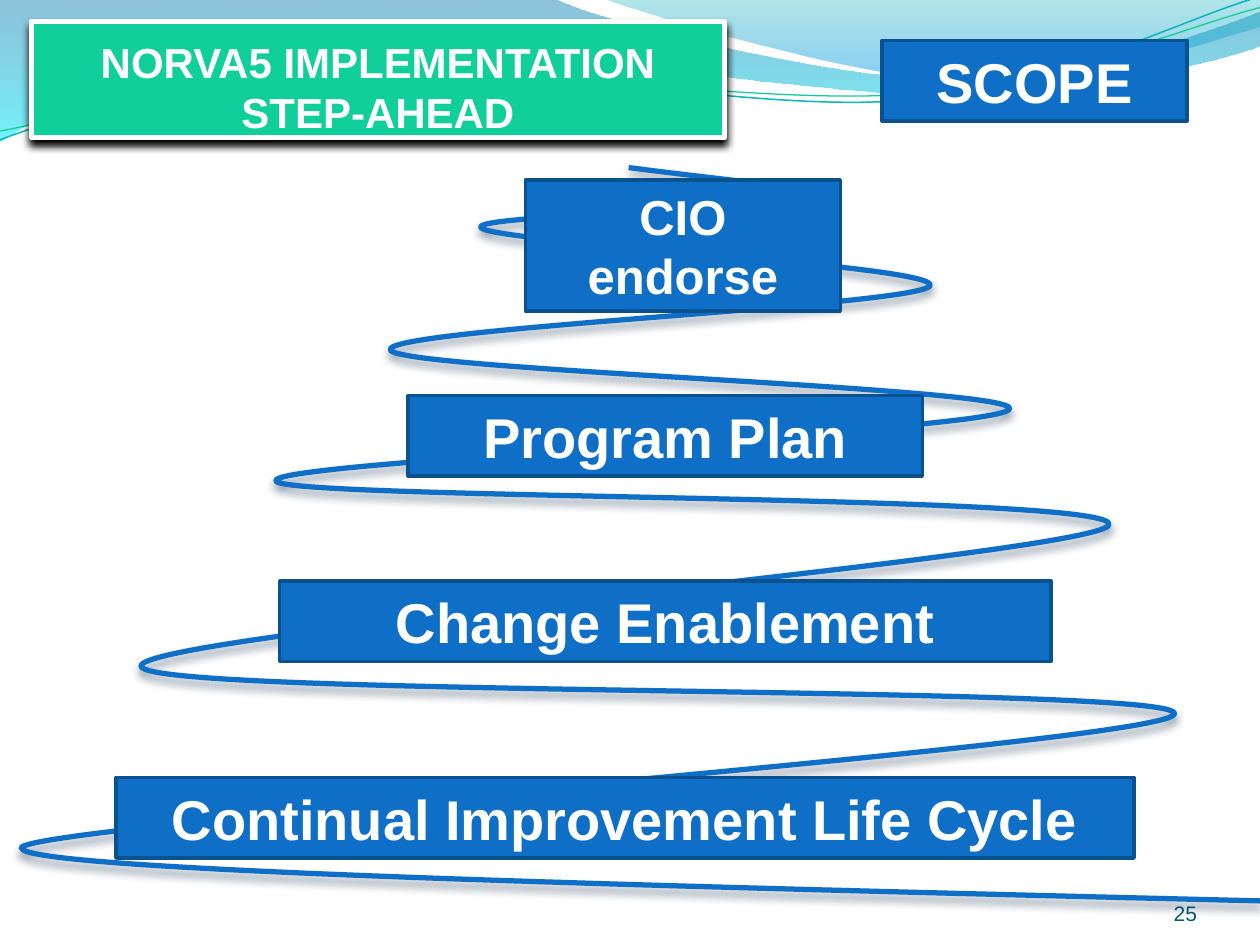
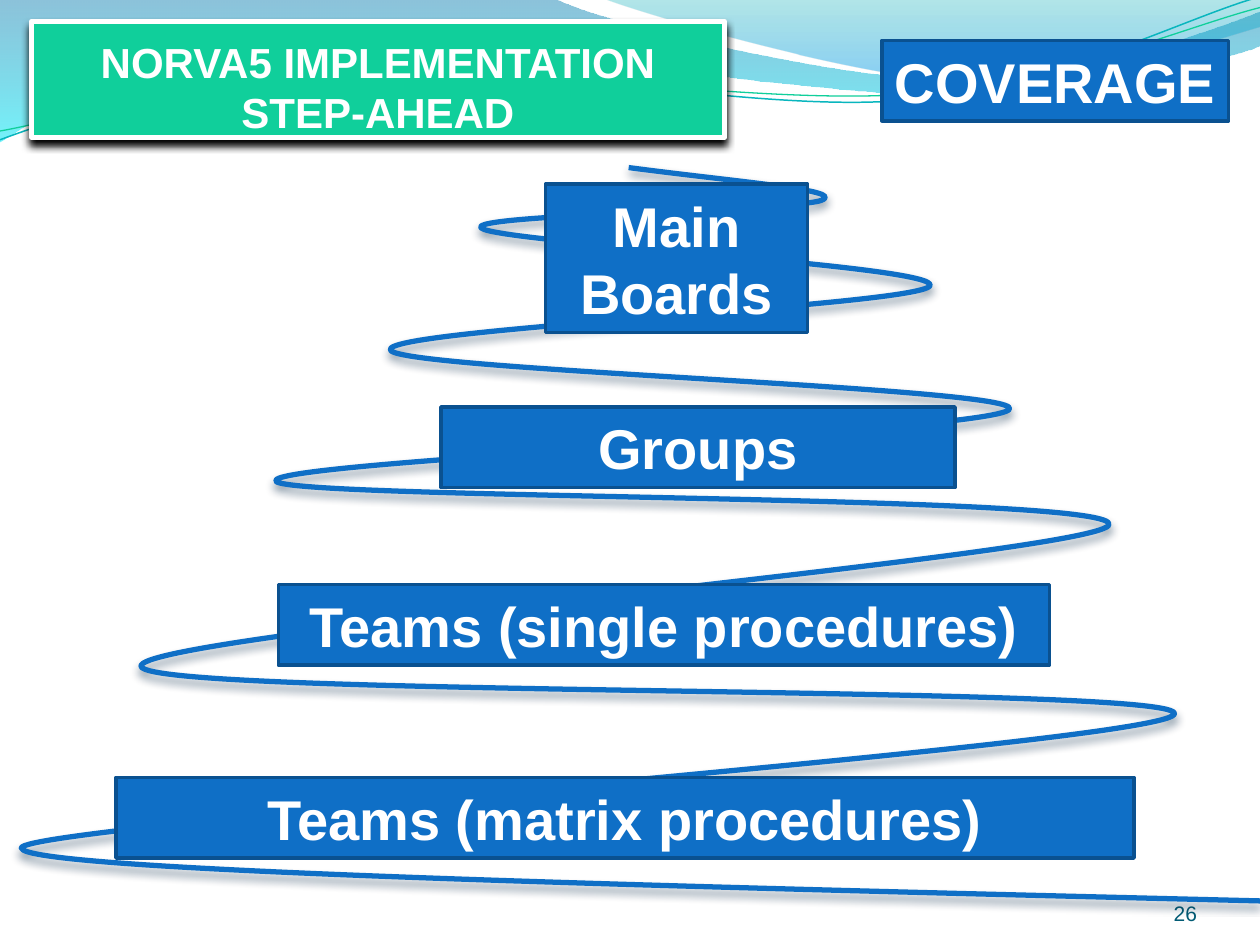
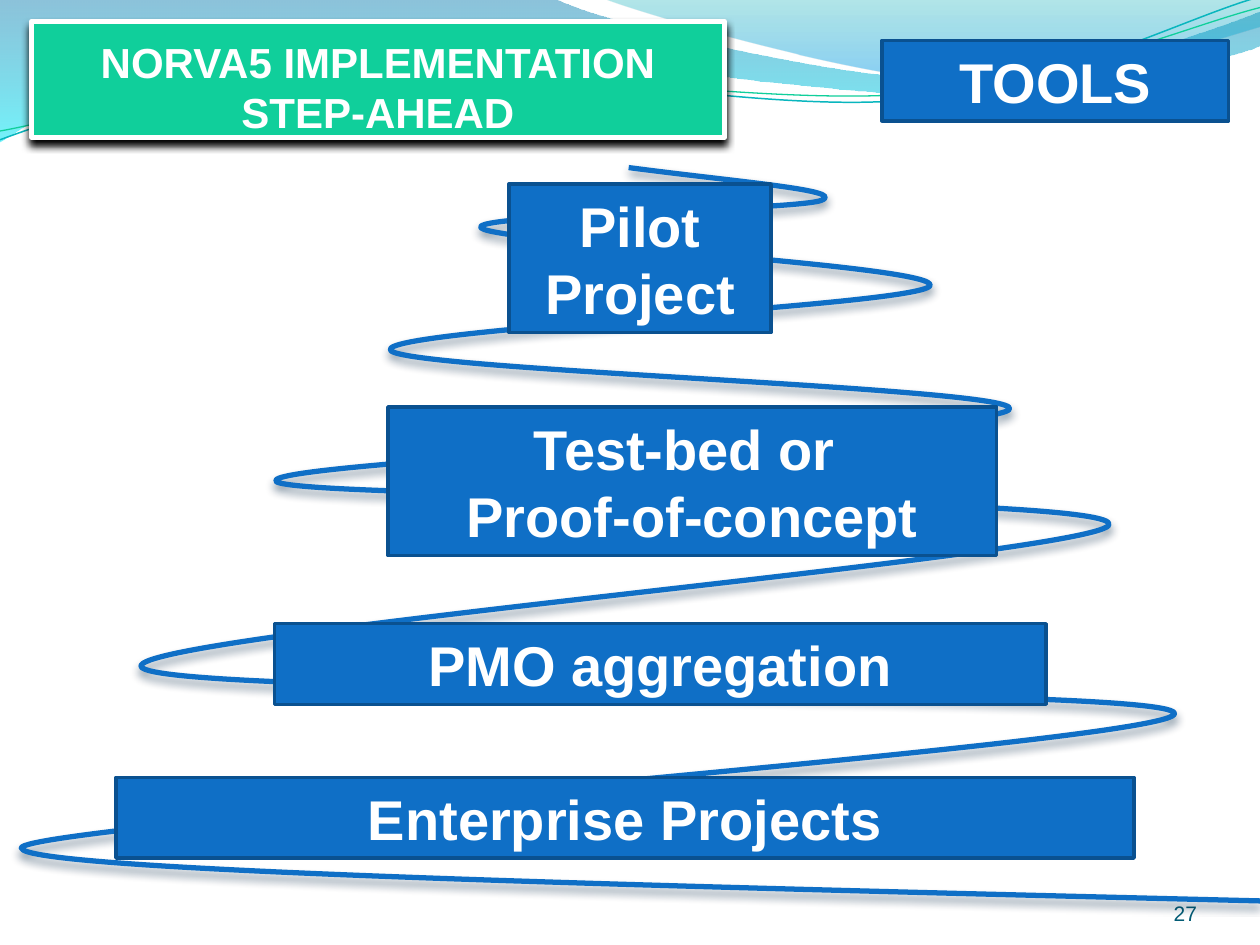
import pptx
import pptx.dml.color
import pptx.enum.shapes
import pptx.enum.text
import pptx.oxml
import pptx.oxml.ns
import pptx.util
from lxml import etree

Inches = pptx.util.Inches
Pt = pptx.util.Pt
qn = pptx.oxml.ns.qn
ALIGN = pptx.enum.text.PP_ALIGN
ANCHOR = pptx.enum.text.MSO_ANCHOR
AUTO_SIZE = pptx.enum.text.MSO_AUTO_SIZE
RECTANGLE = pptx.enum.shapes.MSO_SHAPE.RECTANGLE

COLORS = {
    "white": "FFFFFF", "black": "000000", "green": "10CF9B", "teal": "09B6BE",
    "blue": "0F6FC6", "edge": "0A5190", "shade": "032543", "number": "035C75",
    "wave_top": "0079AD", "wave_end": "00E9F7", "crest_top": "00ABB4", "crest_end": "0099E4",
}
FONT = "Arial"
PAGE_BOX = (0, 0, 10, 7.5)
TITLE_BOX = (0.25, 0.17, 5.5, 0.92)
NUMBER_BOX = (8.67, 6.95, 0.83, 0.4)
TITLE = "NORVA5 IMPLEMENTATION\vSTEP-AHEAD"
FIRST_NUMBER = 25

# An outline is a start point followed by segments: one point is a straight
# line, three points are a curve with two handles and an end.
WAVE = [
    (0, -0.01), [(4.4, -0.01)],
    [(4.76, 0.17), (6.64, 0.63), (7.58, 0.63)], [(8.53, 0.63), (9.58, 0.26), (10, 0.09)],
    [(10.01, 0.36)],
    [(9.83, 0.44), (8.7, 0.76), (7.46, 0.75)], [(6.22, 0.75), (3.82, 0.28), (2.57, 0.34)],
    [(1.29, 0.35), (0.46, 0.83), (-0.01, 1.13)], [(0, -0.01)],
]
CREST = [
    (4.79, -0.01),
    [(5.09, 0.11), (6.82, 0.62), (7.69, 0.65)], [(8.56, 0.69), (9.61, 0.32), (10, 0.21)],
    [(10, 0)], [(4.79, -0.01)],
]
TEAL_THREAD = [
    (0, 1.11), [(0.48, 0.93), (1.58, 0.57), (2.77, 0.52)],
    [(3.95, 0.47), (5.93, 0.89), (7.13, 0.8)], [(8.33, 0.71), (9.38, 0.15), (9.98, -0.02)],
]
GREEN_THREAD = [
    (0, 1.04), [(0.47, 0.96), (1.64, 0.61), (2.83, 0.56)],
    [(4.03, 0.51), (5.97, 0.83), (7.17, 0.75)], [(8.36, 0.67), (9.41, 0.21), (10, 0.06)],
]
SPIRAL = [
    (4.99, 1.33), [(5.9, 1.45), (6.72, 1.51), (6.52, 1.59)],
    [(6.33, 1.67), (3.68, 1.7), (3.82, 1.81)], [(3.97, 1.93), (7.5, 2.11), (7.38, 2.27)],
    [(7.26, 2.43), (2.99, 2.61), (3.1, 2.78)], [(3.2, 2.94), (8.17, 3.08), (8.01, 3.25)],
    [(7.86, 3.43), (2.06, 3.66), (2.19, 3.82)], [(2.32, 3.97), (8.98, 3.92), (8.8, 4.17)],
    [(8.62, 4.41), (1.04, 5.04), (1.12, 5.29)], [(1.21, 5.54), (9.48, 5.43), (9.32, 5.67)],
    [(9.17, 5.91), (0.16, 6.55), (0.17, 6.73)], [(0.18, 6.91), (5.09, 7.03), (10, 7.15)],
]
WAVE_STOPS = [(0, "wave_top", 45), (100, "wave_end", 55)]
CREST_STOPS = [(0, "crest_top", 30), (80, "crest_end", 45), (100, "crest_end", 45)]

# Each slide: its topic with the label width, then bars as (text, size, box).
BASE_BOX = (0.92, 6.17, 8.08, 0.64)
SLIDES = [
    ("SCOPE", 2.42, [
        ("Continual Improvement Life Cycle", 32, BASE_BOX),
        ("Program Plan", 32, (3.24, 3.14, 4.08, 0.64)),
        ("CIO\nendorse", 28, (4.17, 1.43, 2.5, 1.04)),
        ("Change Enablement", 32, (2.22, 4.61, 6.12, 0.64)),
    ]),
    ("COVERAGE", 2.75, [
        ("Teams (matrix procedures)", 32, BASE_BOX),
        ("Groups", 32, (3.5, 3.23, 4.08, 0.64)),
        ("Main Boards", 32, (4.33, 1.46, 2.08, 1.18)),
        ("Teams (single procedures)", 32, (2.21, 4.64, 6.12, 0.64)),
    ]),
    ("TOOLS", 2.75, [
        ("Enterprise Projects", 32, BASE_BOX),
        ("Test-bed or \nProof-of-concept", 32, (3.08, 3.23, 4.83, 1.18)),
        ("Pilot Project", 32, (4.04, 1.46, 2.08, 1.18)),
        ("PMO aggregation", 32, (2.18, 4.95, 6.12, 0.64)),
    ]),
]


def rgb(name):
    return pptx.dml.color.RGBColor.from_string(COLORS[name])


def set_values(target, values):
    for name, value in values.items():
        setattr(target, name, value)


def add_color(parent, name, opacity):
    color = etree.SubElement(parent, qn("a:srgbClr"), val=COLORS[name])
    etree.SubElement(color, qn("a:alpha"), val=str(opacity * 1000))


def set_line(shape, color, width):
    shape.line.color.rgb = rgb(color)
    shape.line.width = Pt(width)


def set_shadow(shape, color, opacity):
    """Drop a soft shadow straight down."""
    effects = shape._element.spPr.find(qn("a:effectLst"))
    shadow = etree.SubElement(
        effects, qn("a:outerShdw"), blurRad=str(Pt(4.5)), dist=str(Pt(3)),
        dir="5400000", algn="ctr", rotWithShape="0")
    add_color(shadow, color, opacity)


def set_gradient(shape, stops):
    """Replace the empty fill by a gradient from top to bottom."""
    gradient = etree.Element(qn("a:gradFill"), rotWithShape="1")
    stop_list = etree.SubElement(gradient, qn("a:gsLst"))
    for position, color, opacity in stops:
        stop = etree.SubElement(stop_list, qn("a:gs"), pos=str(position * 1000))
        add_color(stop, color, opacity)
    etree.SubElement(gradient, qn("a:lin"), ang="5400000", scaled="1")
    properties = shape._element.spPr
    properties.replace(properties.find(qn("a:noFill")), gradient)


def write_text(shape, text, size, color, frame_values, align=ALIGN.CENTER, bold=True):
    frame = shape.text_frame
    set_values(frame, {"word_wrap": True, **frame_values})
    frame.text = text
    for para in frame.paragraphs:
        para.alignment = align
        set_values(para.font, {"name": FONT, "size": Pt(size), "bold": bold})
        para.font.color.rgb = rgb(color)


def margins(left, top, right, bottom):
    return {"margin_left": Inches(left), "margin_top": Inches(top),
            "margin_right": Inches(right), "margin_bottom": Inches(bottom)}


def add_curve(page, box, outline, close=False):
    """Build an unfilled outline, bending its three-point segments into curves."""
    start, *segments = outline
    place = lambda point: (Inches(box[0] + point[0]), Inches(box[1] + point[1]))
    builder = page.shapes.build_freeform(*place(start), scale=1.0)
    builder.add_line_segments([place(p) for seg in segments for p in seg], close=close)
    shape = builder.convert_to_shape()
    shape.shadow.inherit = False
    shape.fill.background()
    lines = iter(list(shape._element.iter(qn("a:lnTo"))))
    for segment in segments:
        parts = [next(lines) for _ in segment]
        if len(parts) == 3:
            curve = etree.Element(qn("a:cubicBezTo"))
            parts[0].addprevious(curve)
            for part in parts:
                curve.append(part[0])
                part.getparent().remove(part)
    return shape


def add_box(page, box, fill, edge, width):
    shape = page.shapes.add_shape(RECTANGLE, *map(Inches, box))
    shape.shadow.inherit = False
    shape.fill.solid()
    shape.fill.fore_color.rgb = rgb(fill)
    set_line(shape, edge, width)
    return shape


def draw_waves(page, box):
    for outline, stops in ((WAVE, WAVE_STOPS), (CREST, CREST_STOPS)):
        band = add_curve(page, box, outline, close=True)
        band.line.fill.background()
        set_gradient(band, stops)
    for outline, color, width in ((TEAL_THREAD, "teal", 0.85), (GREEN_THREAD, "green", 0.75)):
        set_line(add_curve(page, box, outline), color, width)


def draw_title(page, box):
    shape = add_box(page, box, "green", "white", 3)
    set_shadow(shape, "black", 100)
    write_text(shape, TITLE, 24, "white",
               {"vertical_anchor": ANCHOR.BOTTOM, **margins(0, 0.05, 0, 0)})


def draw_number(page, box, number):
    shape = page.shapes.add_textbox(*map(Inches, box))
    write_text(shape, str(number), 12, "number",
               {"vertical_anchor": ANCHOR.BOTTOM, **margins(0, 0, 0, 0)},
               align=ALIGN.RIGHT, bold=False)


def draw_bar(page, box, text, size):
    shape = add_box(page, box, "blue", "edge", 2)
    write_text(shape, text, size, "white", {
        "vertical_anchor": ANCHOR.MIDDLE, "auto_size": AUTO_SIZE.SHAPE_TO_FIT_TEXT,
        **margins(0.1, 0.05, 0.1, 0.05)})


def draw_pyramid(page, box, bars):
    """Lay the bars over a spiral that widens downwards."""
    spiral = add_curve(page, box, SPIRAL)
    set_line(spiral, "blue", 3)
    set_shadow(spiral, "shade", 48)
    for text, size, (left, top, width, height) in bars:
        draw_bar(page, (box[0] + left, box[1] + top, width, height), text, size)


def main():
    deck = pptx.Presentation()
    set_values(deck, {"slide_width": Inches(PAGE_BOX[2]), "slide_height": Inches(PAGE_BOX[3])})
    for number, (topic, topic_width, bars) in enumerate(SLIDES, FIRST_NUMBER):
        page = deck.slides.add_slide(deck.slide_layouts[6])
        draw_waves(page, PAGE_BOX)
        draw_title(page, TITLE_BOX)
        draw_number(page, NUMBER_BOX, number)
        draw_pyramid(page, PAGE_BOX, bars)
        draw_bar(page, (7, 0.32, topic_width, 0.64), topic, 32)
    deck.save("out.pptx")


if __name__ == "__main__":
    main()
